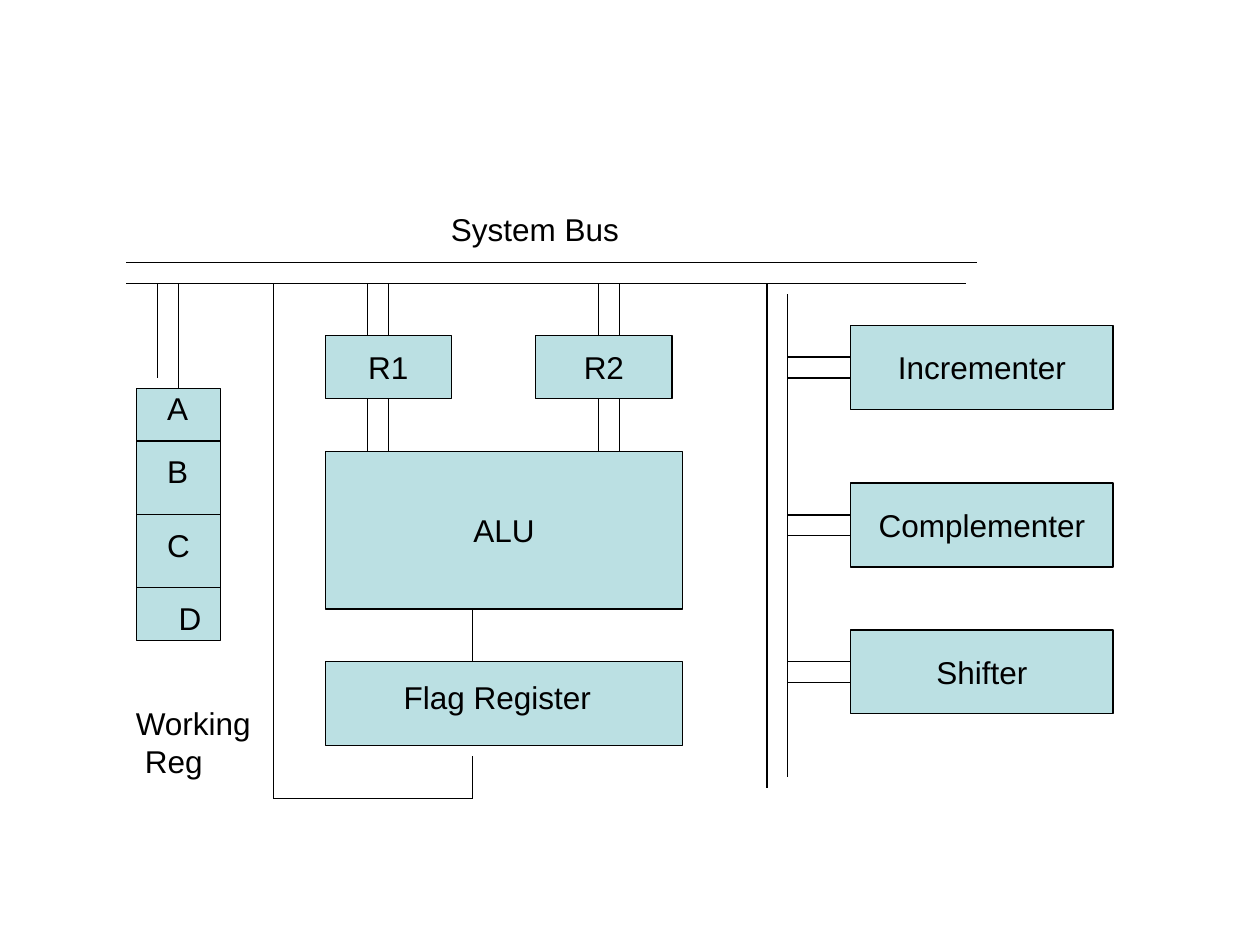
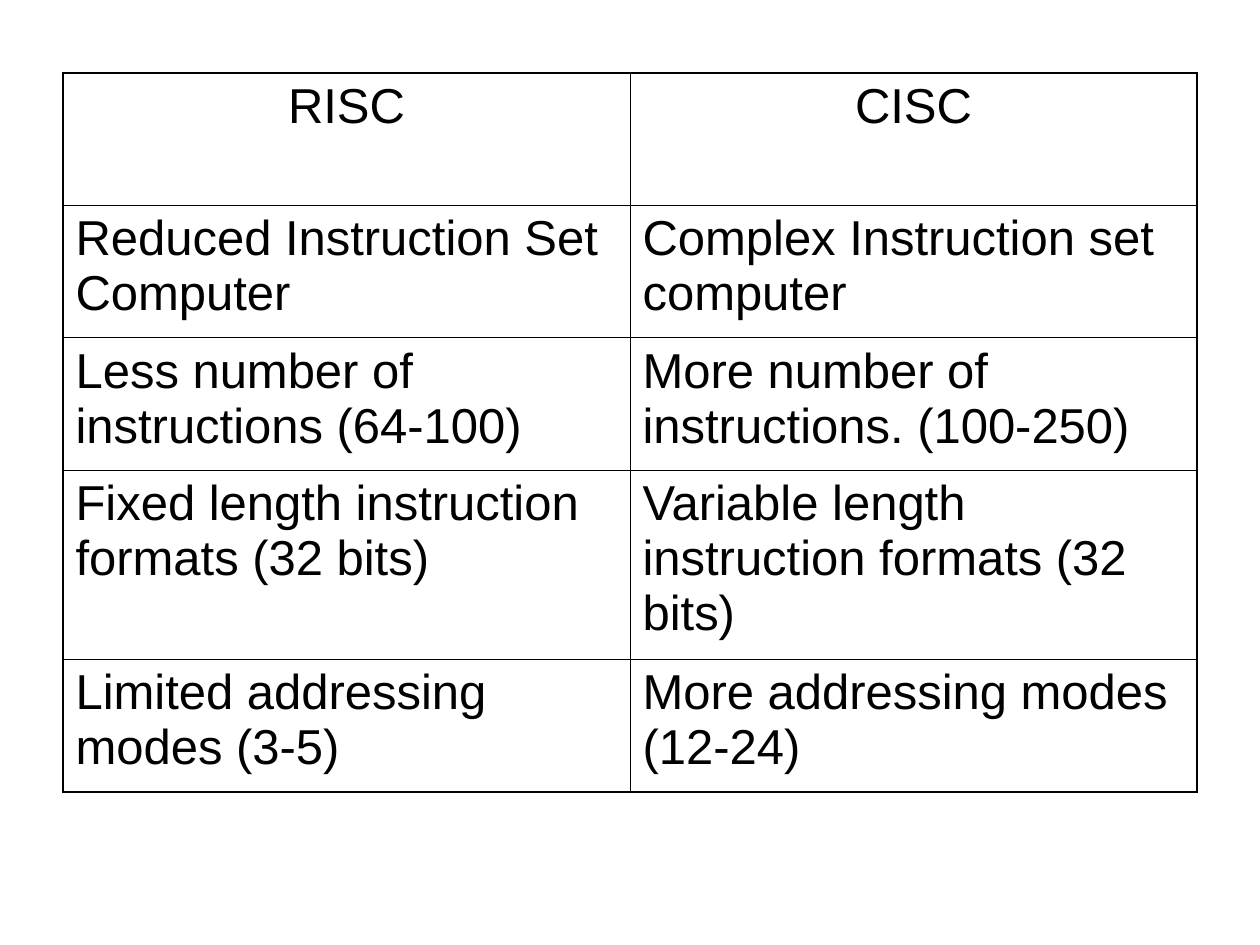
from dataclasses import dataclass

from lxml.etree import SubElement as Sub
from pptx import Presentation
from pptx.dml.color import RGBColor as Rgb
from pptx.enum.shapes import MSO_CONNECTOR as Link, MSO_SHAPE as Preset
from pptx.enum.text import MSO_ANCHOR as Anchor, PP_ALIGN as Align
from pptx.oxml.ns import qn
from pptx.util import Cm, Pt


@dataclass(frozen=True)
class Theme:
    ink: Rgb = Rgb(0x00, 0x00, 0x00)
    block: Rgb = Rgb(0xBB, 0xE0, 0xE3)
    font: str = "Arial"
    label: int = 18
    cell: int = 28
    stroke: float = 0.75
    outer_border: float = 1.08
    inner_border: float = 0.45


theme = Theme()


def write(paragraph, text, size, align=Align.LEFT):
    paragraph.alignment = align
    run = paragraph.add_run()
    run.text = text
    run.font.name = theme.font
    run.font.size = Pt(size)
    run.font.color.rgb = theme.ink


def wire(slide, x1, y1, x2, y2):
    line = slide.shapes.add_connector(Link.STRAIGHT, Cm(x1), Cm(y1), Cm(x2), Cm(y2))
    line.line.color.rgb = theme.ink
    line.line.width = Pt(theme.stroke)
    Sub(line._element.spPr, qn("a:effectLst"))


deck = Presentation()
deck.slide_width, deck.slide_height = Cm(25.4), Cm(19.05)
blank = deck.slide_layouts[6]

# Slide 1: processor structure around the system bus
processor = deck.slides.add_slide(blank)
bus_top, bus_bottom = 5.29, 5.72
lane = 0.42  # gap between the two wires of a link

# Blocks: name, left, top, width, height
alu_left, alu_top, alu_width = 6.56, 9.1, 7.2
register_top, register_height = 6.77, 1.27
unit_left, unit_width, unit_height = 17.15, 5.29, 1.69
units = {"Incrementer": 6.56, "Complementer": 9.74, "Shifter": 12.7}
working_left, working_top, working_width = 2.75, 7.83, 1.69
blocks = [
    ("R1", alu_left, register_top, 2.54, register_height),
    ("R2", 10.8, register_top, 2.75, register_height),
    ("ALU", alu_left, alu_top, alu_width, 3.18),
    ("", alu_left, 13.34, alu_width, 1.69),
    ("", working_left, working_top, working_width, 5.08),
]
blocks += [(name, unit_left, top, unit_width, unit_height) for name, top in units.items()]
for name, left, top, width, height in blocks:
    block = processor.shapes.add_shape(
        Preset.RECTANGLE, Cm(left), Cm(top), Cm(width), Cm(height))
    block.shadow.inherit = False
    block.fill.solid()
    block.fill.fore_color.rgb = theme.block
    block.line.color.rgb = theme.ink
    block.line.width = Pt(theme.stroke)
    if name:
        block.text_frame.word_wrap = False
        block.text_frame.vertical_anchor = Anchor.MIDDLE
        write(block.text_frame.paragraphs[0], name, theme.label, Align.CENTER)

# System bus and the dividers of the working registers
wire(processor, 2.54, bus_top, 19.69, bus_top)
wire(processor, 2.54, bus_bottom, 19.47, bus_bottom)
for divider in (8.89, 10.37, 11.85):
    wire(processor, working_left, divider, working_left + working_width, divider)

# Bus to working registers, then bus to R1 and R2 and on to the ALU
wire(processor, 3.18, bus_bottom, 3.18, 7.62)
wire(processor, 3.18 + lane, bus_bottom, 3.18 + lane, working_top)
for first in (7.41, 12.07):
    for x in (first, first + lane):
        wire(processor, x, bus_bottom, x, register_top)
        wire(processor, x, register_top + register_height, x, alu_top)

# ALU to flag register, and the path back to the bus
flag_x, return_x, return_y = 9.53, 5.51, 16.09
wire(processor, flag_x, 12.28, flag_x, 13.34)
wire(processor, flag_x, 15.24, flag_x, return_y)
wire(processor, return_x, return_y, flag_x, return_y)
wire(processor, return_x, return_y, return_x, bus_bottom)

# Side bus with a double link to each unit
side_bus = 15.88
wire(processor, side_bus - lane, bus_bottom, side_bus - lane, 15.88)
wire(processor, side_bus, 5.93, side_bus, 15.66)
for top in units.values():
    for y in (top + 0.64, top + 0.64 + lane):
        wire(processor, side_bus, y, unit_left, y)

# Free labels: lines, left, top, width
labels = [
    (["System Bus"], 8.84, 4.11, 3.89),
    (["A"], 3.12, 7.72, 0.91),
    (["B"], 3.12, 8.99, 0.91),
    (["C"], 3.12, 10.47, 0.97),
    (["D"], 3.35, 11.96, 0.97),
    (["Flag Register"], 7.89, 13.55, 4.32),
    (["Working", "Reg"], 2.49, 14.07, 2.82),
]
for lines, left, top, width in labels:
    label = processor.shapes.add_textbox(
        Cm(left), Cm(top), Cm(width), Cm(0.26 + 0.76 * len(lines))).text_frame
    label.word_wrap = False
    for number, text in enumerate(lines):
        paragraph = label.add_paragraph() if number else label.paragraphs[0]
        if number:
            paragraph._p.get_or_add_pPr().set("marL", str(Cm(0.18)))
        write(paragraph, text, theme.label)

# Slide 2: RISC and CISC compared
comparison = deck.slides.add_slide(blank)
rows = [
    ("RISC", "CISC"),
    ("Reduced Instruction Set Computer", "Complex Instruction set computer"),
    ("Less number of instructions (64-100)", "More number of instructions. (100-250)"),
    ("Fixed length instruction formats (32 bits)",
     "Variable length instruction formats (32 bits)"),
    ("Limited addressing modes (3-5)", "More addressing modes (12-24)"),
]
heights = [2.67, 2.67, 2.67, 3.81, 2.67]
table = comparison.shapes.add_table(
    len(rows), 2, Cm(1.27), Cm(1.47), Cm(22.86), Cm(sum(heights))).table
table.first_row = table.horz_banding = False
for r, (texts, height) in enumerate(zip(rows, heights)):
    table.rows[r].height = Cm(height)
    for c, text in enumerate(texts):
        cell = table.cell(r, c)
        write(cell.text_frame.paragraphs[0], text, theme.cell,
              Align.LEFT if r else Align.CENTER)
        # Heavier borders around the outside
        edges = {"L": c == 0, "R": c == 1, "T": r == 0, "B": r == len(rows) - 1}
        properties = cell._tc.get_or_add_tcPr()
        for side, outside in edges.items():
            weight = theme.outer_border if outside else theme.inner_border
            border = Sub(properties, qn(f"a:ln{side}"), w=str(Pt(weight)))
            Sub(Sub(border, qn("a:solidFill")), qn("a:srgbClr"), val=str(theme.ink))
        cell.fill.background()

deck.save("out.pptx")
